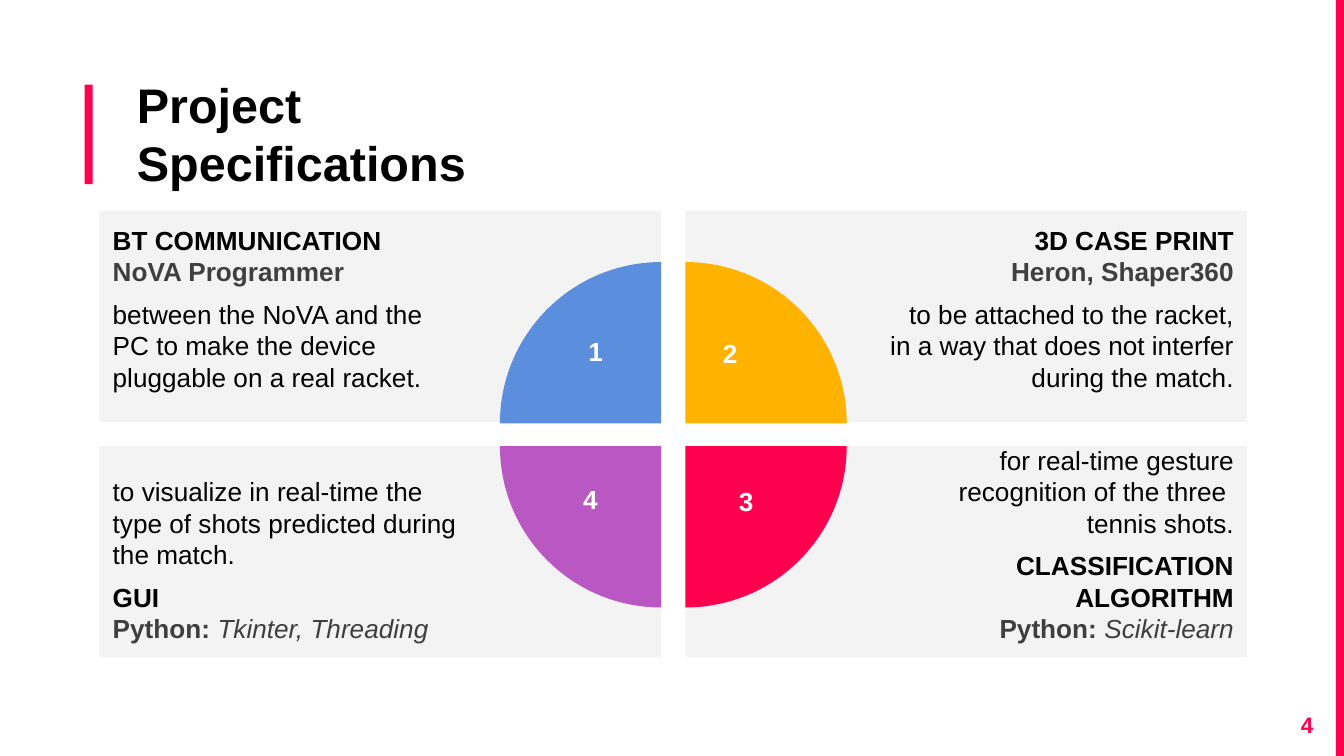
from pptx import Presentation
from pptx.dml.color import RGBColor
from pptx.enum.shapes import MSO_SHAPE
from pptx.enum.text import MSO_ANCHOR, PP_ALIGN
from pptx.util import Inches, Pt

BLACK = RGBColor(0x00, 0x00, 0x00)
WHITE = RGBColor(0xFF, 0xFF, 0xFF)
DARK = RGBColor(0x3F, 0x3F, 0x3F)
PANEL = RGBColor(0xF3, 0xF3, 0xF3)
RED = RGBColor(0xFF, 0x00, 0x4E)
BLUE = RGBColor(0x5B, 0x8F, 0xDD)
AMBER = RGBColor(0xFF, 0xB2, 0x00)
PURPLE = RGBColor(0xB9, 0x58, 0xC2)

LEFTS = (0.74, 5.1)
TOPS = (1.57, 3.32)
PIE_LEFTS = (3.72, 3.9)
PIE_TOPS = (1.95, 2.12)
WIDE_INSETS = (0.1, 0.1, 0.1, 0.1)


class SlideBuilder:
    font = "Arial"

    def __init__(self, page):
        self.page = page

    def shape(self, kind, left, top, width, height, color):
        shape = self.page.shapes.add_shape(
            kind, Inches(left), Inches(top), Inches(width), Inches(height))
        shape.shadow.inherit = False
        shape.fill.solid()
        shape.fill.fore_color.rgb = color
        shape.line.fill.background()
        return shape

    def bar(self, left, top, width, height):
        return self.shape(MSO_SHAPE.RECTANGLE, left, top, width, height, RED)

    def quarter(self, left, top, rotation, color):
        pie = self.shape(MSO_SHAPE.PIE, left, top, 2.4, 2.4, color)
        pie.adjustments[0] = 108
        pie.adjustments[1] = 162
        pie.rotation = rotation

    def frame(self, box, insets, anchor=MSO_ANCHOR.TOP):
        frame = box.text_frame
        frame.word_wrap = True
        frame.vertical_anchor = anchor
        (frame.margin_left, frame.margin_top,
         frame.margin_right, frame.margin_bottom) = map(Inches, insets)
        return frame

    def span(self, para, text, color, size=14, bold=False, italic=False):
        for index, line in enumerate(text.split("\n")):
            if index:
                para.add_line_break()
            if line:
                span = para.add_run()
                span.text = line
                span.font.name = self.font
                span.font.size = Pt(size)
                span.font.bold = bold
                span.font.italic = italic
                span.font.color.rgb = color

    def label(self, text, left, top, width, height, color, size=14,
              align=PP_ALIGN.CENTER, insets=(0.1, 0.05, 0.1, 0.05)):
        box = self.page.shapes.add_textbox(
            Inches(left), Inches(top), Inches(width), Inches(height))
        para = self.frame(box, insets).paragraphs[0]
        para.alignment = align
        self.span(para, text, color, size, bold=True)

    def panel(self, column, row, heading, tool, detail, body):
        box = self.shape(MSO_SHAPE.RECTANGLE, LEFTS[column], TOPS[row],
                         4.18, 1.57, PANEL)
        insets = (1.5, 0.1, 0.1, 0.1) if column else (0.1, 0.1, 1.5, 0.1)
        anchor = MSO_ANCHOR.BOTTOM if row else MSO_ANCHOR.TOP
        frame = self.frame(box, insets, anchor)
        title_spans = [(heading + "\n", BLACK, 14, True), (tool, DARK, 14, True)]
        if detail:
            title_spans.append((detail, DARK, 14, False, True))
        blocks = [title_spans, [(body, BLACK)]]
        if row:
            blocks.reverse()
        for index, spans in enumerate(blocks):
            para = frame.add_paragraph() if index else frame.paragraphs[0]
            para.alignment = PP_ALIGN.RIGHT if column else PP_ALIGN.LEFT
            if index:
                para.space_before = Pt(6)
            for span in spans:
                self.span(para, *span)


def main():
    deck = Presentation()
    deck.slide_width = Inches(10)
    deck.slide_height = Inches(10) * 9 // 16
    slide = SlideBuilder(deck.slides.add_slide(deck.slide_layouts[6]))

    slide.bar(0.63, 0.63, 0.06, 0.74)
    edge = slide.bar(9.94, 0, 0.06, 5.62)
    edge.height = deck.slide_height
    slide.label("Project Specifications", 0.92, 0.46, 3.92, 0.94, BLACK, 26,
                PP_ALIGN.LEFT, WIDE_INSETS)
    slide.label("4", 9.27, 5.19, 0.6, 0.43, RED, 12,
                PP_ALIGN.RIGHT, WIDE_INSETS)

    slide.panel(0, 0, "BT COMMUNICATION ", "NoVA Programmer", "",
                "between the NoVA and the PC to make the device "
                "pluggable on a real racket.")
    slide.panel(1, 0, "3D CASE PRINT", "Heron, Shaper360", "",
                "to be attached to the racket, in a way that does not "
                "interfer during the match.")
    slide.panel(0, 1, "GUI ", "Python: ", "Tkinter, Threading",
                "to visualize in real-time the type of shots predicted "
                "during the match.")
    slide.panel(1, 1, "CLASSIFICATION ALGORITHM", "Python: ", "Scikit-learn",
                "for real-time gesture recognition of the three \n"
                "tennis shots.")

    quarters = [(0, 0, BLUE), (1, 0, AMBER), (1, 1, RED), (0, 1, PURPLE)]
    for index, (column, row, color) in enumerate(quarters):
        slide.quarter(PIE_LEFTS[column], PIE_TOPS[row], 90 * index, color)

    numbers = [("1", 4.28, 2.45, 0.21, 0.4), ("2", 5.28, 2.46, 0.26, 0.41),
               ("4", 4.24, 3.55, 0.3, 0.4), ("3", 5.4, 3.56, 0.27, 0.42)]
    for number in numbers:
        slide.label(*number, WHITE)

    deck.save("out.pptx")


if __name__ == "__main__":
    main()
